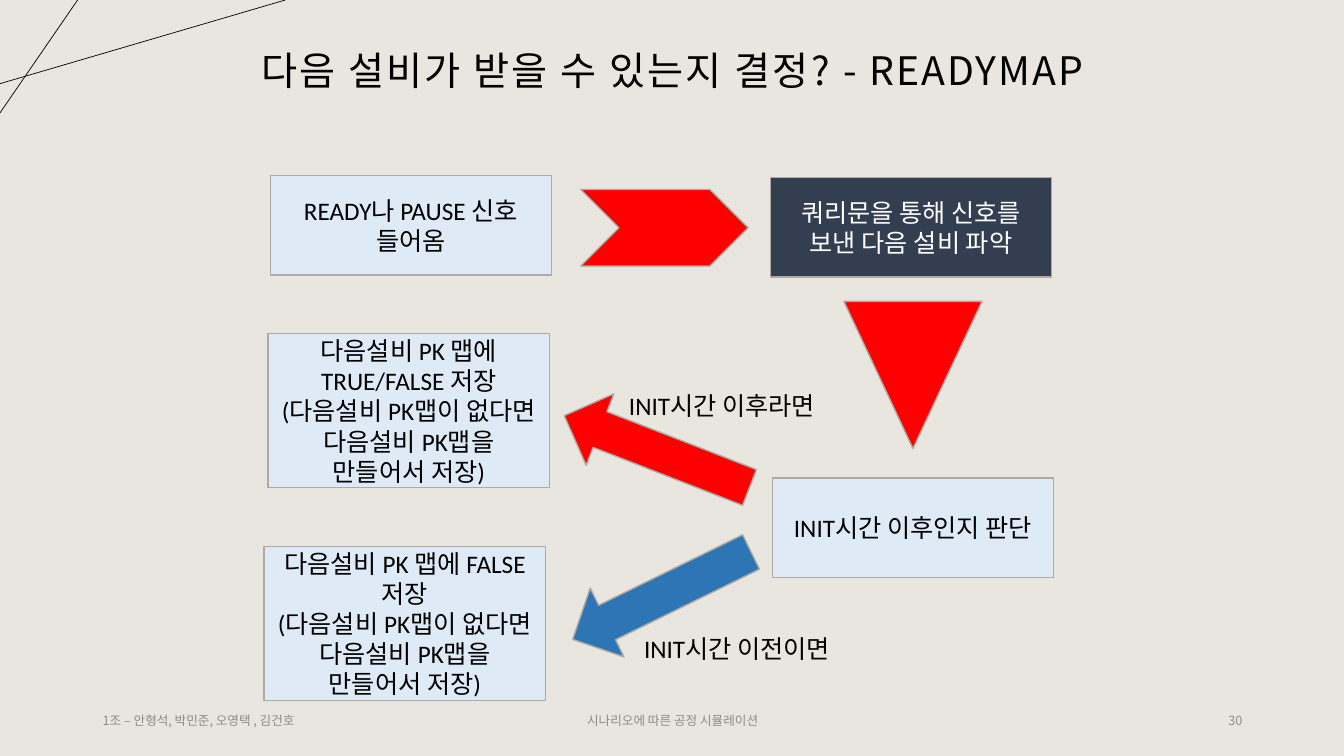
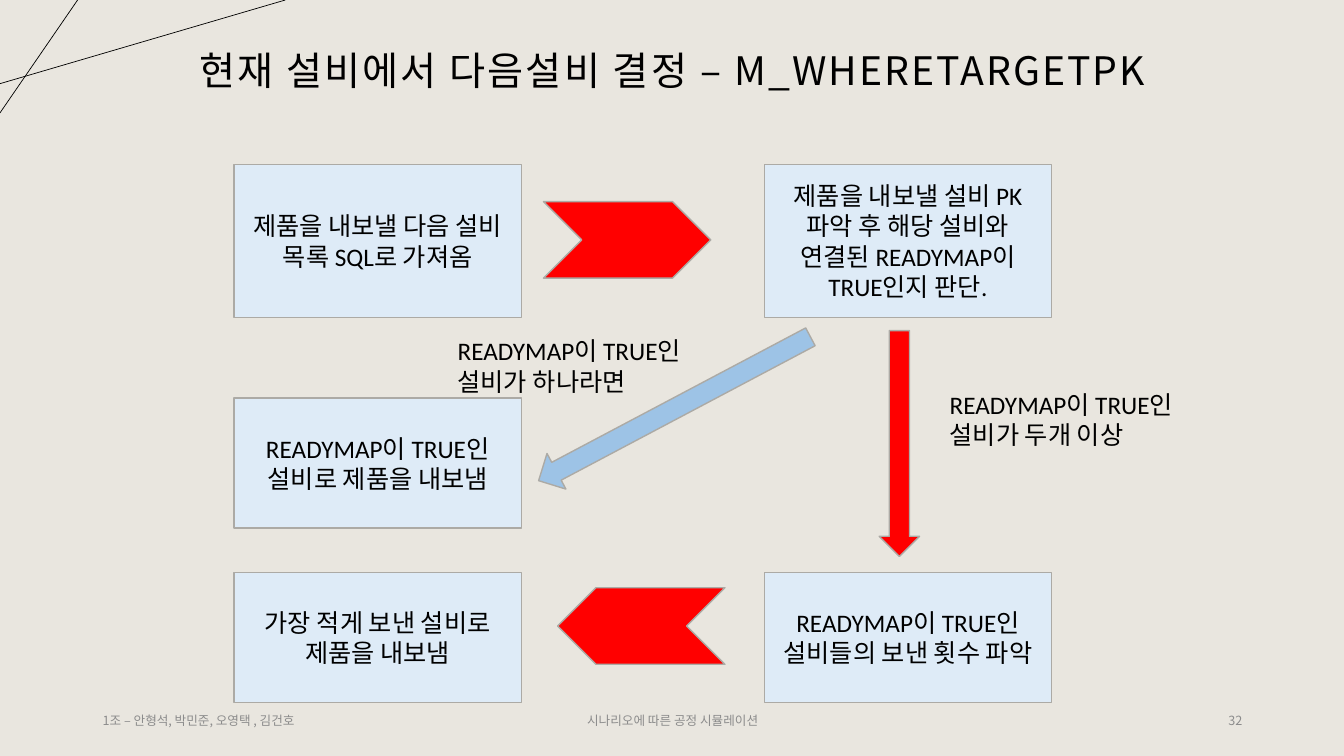
from lxml import etree
from pptx import Presentation
from pptx.dml.color import RGBColor
from pptx.enum.shapes import MSO_CONNECTOR, MSO_SHAPE
from pptx.enum.text import MSO_ANCHOR, MSO_AUTO_SIZE, PP_ALIGN
from pptx.oxml.ns import qn
from pptx.util import Inches, Pt

RECT = MSO_SHAPE.RECTANGLE
CHEVRON = MSO_SHAPE.CHEVRON
MERGE = MSO_SHAPE.FLOWCHART_MERGE
LEFT_ARROW = MSO_SHAPE.LEFT_ARROW
UP_ARROW = MSO_SHAPE.UP_ARROW
STRAIGHT = MSO_CONNECTOR.STRAIGHT
LEFT, CENTER, RIGHT = PP_ALIGN.LEFT, PP_ALIGN.CENTER, PP_ALIGN.RIGHT
TOP, MIDDLE = MSO_ANCHOR.TOP, MSO_ANCHOR.MIDDLE
NO_FIT = MSO_AUTO_SIZE.NONE

BACKGROUND = RGBColor(0xE9, 0xE6, 0xDF)
BLACK = RGBColor(0x00, 0x00, 0x00)
WHITE = RGBColor(0xFF, 0xFF, 0xFF)
GRAY = RGBColor(0x8C, 0x8C, 0x8C)
OUTLINE = RGBColor(0xAC, 0xAA, 0xA5)
PALE = RGBColor(0xDE, 0xEB, 0xF7)
NAVY = RGBColor(0x33, 0x3F, 0x50)
RED = RGBColor(0xFF, 0x00, 0x00)
BLUE = RGBColor(0x2E, 0x75, 0xB6)
SKY = RGBColor(0x9D, 0xC3, 0xE6)

BODY_FONT = "Calibri"
KOREAN_FONT = "Noto Sans CJK KR"

FOOTERS = [
    (4.42, 4.5, "시나리오에 따른 공정 시뮬레이션", CENTER),
    (0.92, 3, "1조 – 안형석, 박민준, 오영택 , 김건호", LEFT),
]
MAKE_MAP = "(다음설비 PK맵이 없다면 다음설비 PK맵을 만들어서 저장)"

SLIDES = [
    {
        "title": "다음 설비가 받을 수 있는지 결정? - READYMAP",
        "number": "30",
        "boxes": [
            (2.68, 1.74, 2.79, 0.99, PALE, "READY나 PAUSE 신호 들어옴"),
            (7.64, 1.76, 2.79, 0.99, NAVY, "쿼리문을 통해 신호를 보낸 다음 설비 파악"),
            (2.66, 3.31, 2.79, 1.53, PALE, "다음설비 PK 맵에 TRUE/FALSE 저장\n" + MAKE_MAP),
            (7.66, 4.74, 2.79, 0.99, PALE, "INIT시간 이후인지 판단"),
            (2.62, 5.42, 2.79, 1.53, PALE, "다음설비 PK 맵에 FALSE 저장\n" + MAKE_MAP),
        ],
        "arrows": [
            (CHEVRON, 5.76, 1.88, 1.66, 0.76, 0, RED),
            (MERGE, 8.37, 2.99, 1.37, 1.46, 0, RED),
            (LEFT_ARROW, 5.53, 4.1, 1.97, 0.76, 21.2, RED),
            (LEFT_ARROW, 5.58, 5.53, 1.97, 0.76, 333.9, BLUE),
        ],
        "labels": [
            (6.14, 3.82, 2.56, 0.4, "INIT시간 이후라면"),
            (6.29, 6.23, 2.56, 0.4, "INIT시간 이전이면"),
        ],
    },
    {
        "title": "현재 설비에서 다음설비 결정 – M_WHERETARGETPK",
        "number": "32",
        "boxes": [
            (2.32, 1.63, 2.85, 1.52, PALE, "제품을 내보낼 다음 설비 목록 SQL로 가져옴"),
            (7.58, 1.63, 2.85, 1.52, PALE,
             "제품을 내보낼 설비 PK 파악 후 해당 설비와 연결된 READYMAP이 TRUE인지 판단."),
            (2.32, 3.95, 2.85, 1.29, PALE, "READYMAP이 TRUE인 설비로 제품을 내보냄"),
            (7.58, 5.68, 2.85, 1.29, PALE, "READYMAP이 TRUE인 설비들의 보낸 횟수 파악"),
            (2.32, 5.68, 2.85, 1.29, PALE, "가장 적게 보낸 설비로 제품을 내보냄"),
        ],
        "arrows": [
            (CHEVRON, 5.39, 2, 1.66, 0.76, 0, RED),
            (UP_ARROW, 6.49, 2.53, 0.4, 3.05, 242.1, SKY),
            (UP_ARROW, 8.72, 3.28, 0.4, 2.24, 180, RED),
            (CHEVRON, 5.53, 5.83, 1.66, 0.76, 180, RED),
        ],
        "labels": [
            (4.44, 3.28, 2.75, 0.71, "READYMAP이 TRUE인\n설비가 하나라면"),
            (9.32, 3.81, 2.85, 0.71, "READYMAP이 TRUE인\n설비가 두개 이상"),
        ],
    },
]


def write(sp, text, size=18, font=BODY_FONT, color=BLACK, align=CENTER,
          anchor=MIDDLE, line_spacing=None, tracking=None):
    tf = sp.text_frame
    tf.word_wrap = True
    tf.auto_size = NO_FIT
    tf.vertical_anchor = anchor
    for i, line in enumerate(text.split("\n")):
        p = tf.add_paragraph() if i else tf.paragraphs[0]
        p.alignment = align
        p.line_spacing = line_spacing
        r = p.add_run()
        r.text = line
        r.font.size = Pt(size)
        r.font.name = font
        r.font.color.rgb = color
        rPr = r.font._element
        etree.SubElement(rPr, qn("a:ea")).set("typeface", KOREAN_FONT)
        if tracking:
            rPr.set("spc", str(round(tracking * 100)))


def add_block(s, kind, x, y, w, h, fill):
    sp = s.shapes.add_shape(kind, Inches(x), Inches(y), Inches(w), Inches(h))
    sp.shadow.inherit = False
    sp.fill.solid()
    sp.fill.fore_color.rgb = fill
    sp.line.color.rgb = OUTLINE
    sp.line.width = Pt(1)
    return sp


prs = Presentation()
prs.slide_width = Inches(13.33)
prs.slide_height = Inches(7.5)
master = prs.slide_master
master.background.fill.solid()
master.background.fill.fore_color.rgb = BACKGROUND
layout = prs.slide_layouts[5]

for data in SLIDES:
    s = prs.slides.add_slide(layout)
    title = s.shapes.title
    title.left, title.top = Inches(0.92), Inches(0)
    title.width, title.height = Inches(11.5), Inches(1.45)
    write(title, data["title"], size=28, font=KOREAN_FONT, line_spacing=0.9, tracking=1.5)

    for x, y, w, h, fill, text in data["boxes"]:
        sp = add_block(s, RECT, x, y, w, h, fill)
        write(sp, text, color=WHITE if fill == NAVY else BLACK)

    for kind, x, y, w, h, angle, fill in data["arrows"]:
        sp = add_block(s, kind, x, y, w, h, fill)
        sp.rotation = angle

    for x, y, w, h, text in data["labels"]:
        sp = s.shapes.add_textbox(Inches(x), Inches(y), Inches(w), Inches(h))
        write(sp, text, align=LEFT, anchor=TOP)

    for x, w, text, align in FOOTERS + [(9.42, 3, data["number"], RIGHT)]:
        sp = s.shapes.add_textbox(Inches(x), Inches(6.95), Inches(w), Inches(0.4))
        write(sp, text, size=9, font=KOREAN_FONT, color=GRAY, align=align)

for x1, y1, x2, y2 in [(0, 0.83, 2.83, 0), (0.77, 0, 0, 1.12)]:
    line = prs.slides[0].shapes.add_connector(
        STRAIGHT, Inches(x1), Inches(y1), Inches(x2), Inches(y2))
    line.line.color.rgb = BLACK
    line.line.width = Pt(0.5)
    etree.SubElement(line._element.spPr, qn("a:effectLst"))
    master.shapes.element.append(line._element)

prs.save("out.pptx")
